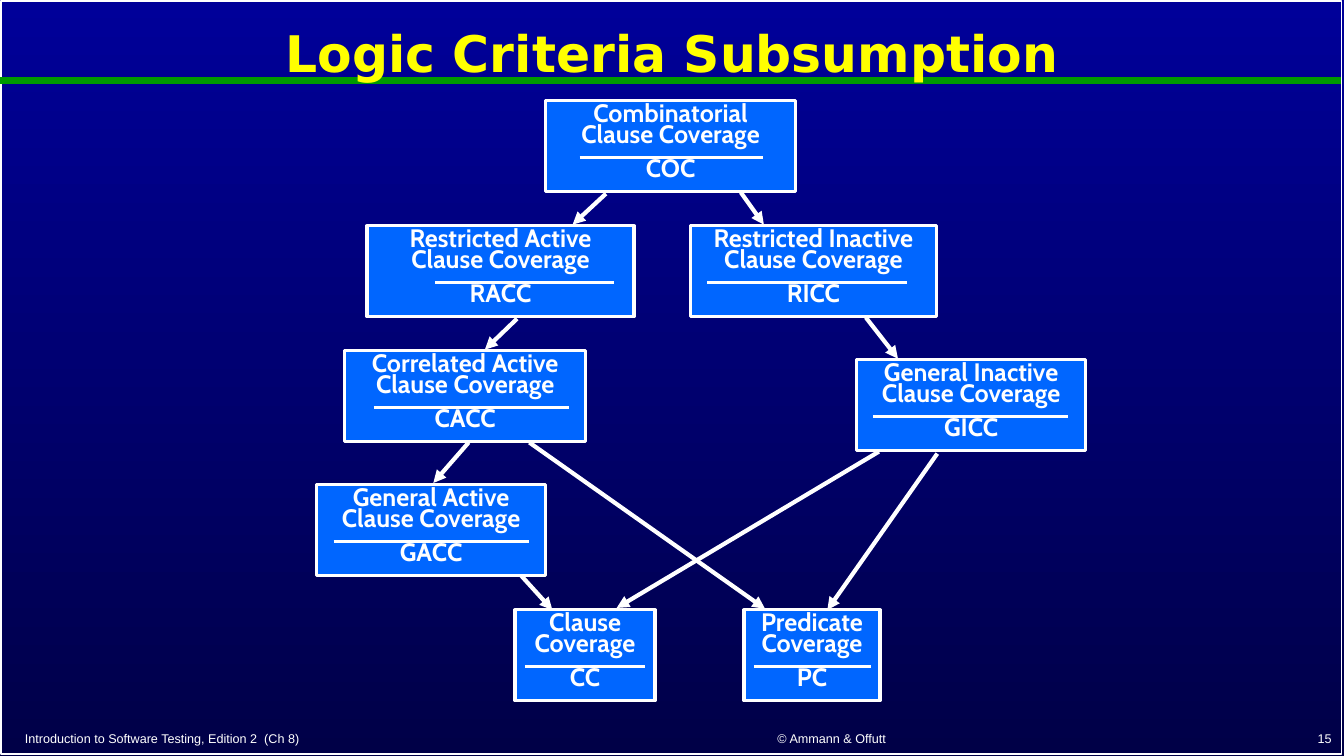
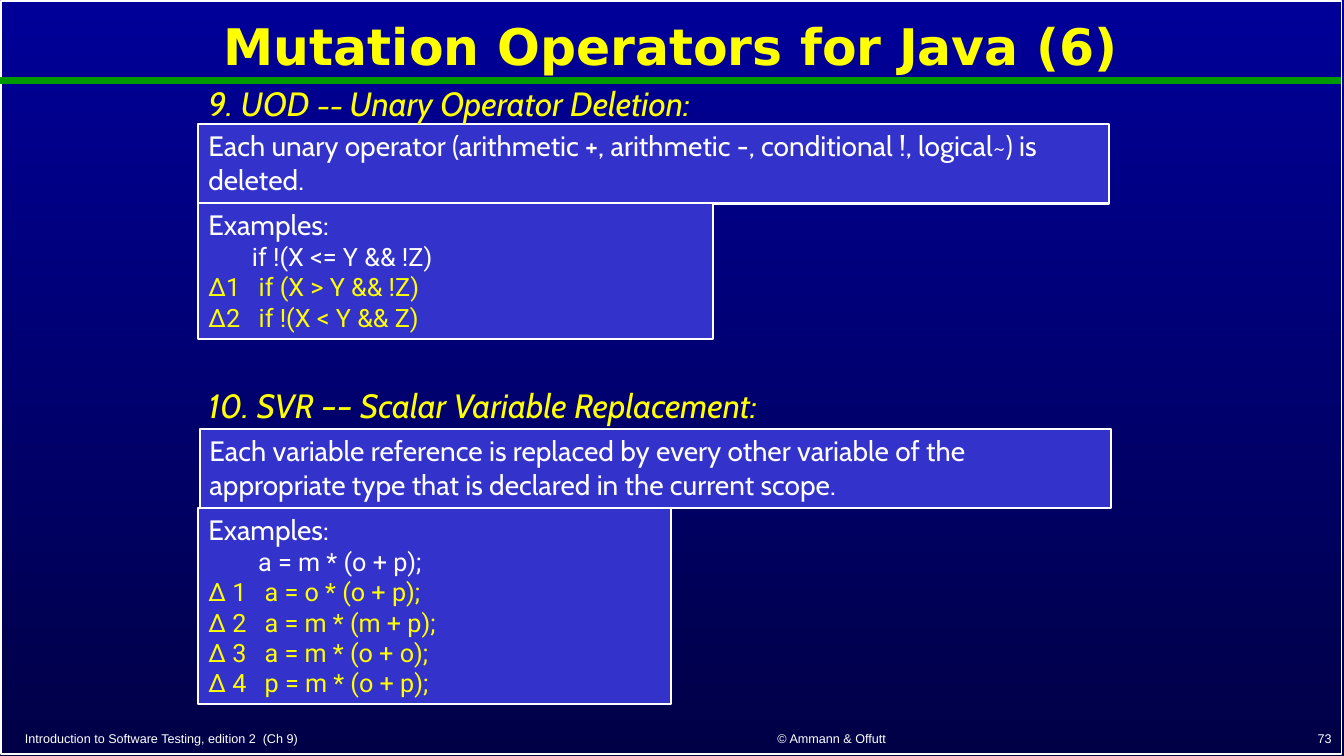
from dataclasses import dataclass

from pptx import Presentation
from pptx.dml.color import RGBColor
from pptx.enum.shapes import MSO_CONNECTOR as Connector, MSO_SHAPE as Shape
from pptx.enum.text import MSO_ANCHOR as Anchor, MSO_AUTO_SIZE as AutoSize, PP_ALIGN as Align
from pptx.oxml.ns import qn
from pptx.oxml.xmlchemy import OxmlElement
from pptx.util import Cm, Pt

WHITE, YELLOW, DASH_YELLOW, GREEN = "FFFFFF", "FFFF00", "FAFD00", "009900"
SKY, NIGHT = "000099", "000047"
NODE_BLUE, PANEL_BLUE = "0066FF", "3333CC"
TITLE_FONT, FOOTER_FONT, TEXT_FONT, CODE_FONT = "DejaVu Sans", "Arial", "Cabin", "Roboto"
NODE_HEIGHT, RULE_DROP = 2.29, 1.42
DELTA = "∆"


@dataclass(frozen=True)
class Area:
    left: float
    top: float
    width: float
    height: float

    def lengths(self) -> tuple:
        return Cm(self.left), Cm(self.top), Cm(self.width), Cm(self.height)


@dataclass(frozen=True)
class Criterion:
    left: float
    top: float
    width: float
    rule_start: float
    rule_end: float
    name: str
    short: str


@dataclass(frozen=True)
class Arrow:
    start_x: float
    start_y: float
    end_x: float
    end_y: float


@dataclass(frozen=True)
class Span:
    text: str
    size: float = 24
    color: str = YELLOW


@dataclass(frozen=True)
class Operator:
    heading_area: Area
    heading: tuple[Span, ...]
    rule_area: Area
    rule: str
    example_area: Area
    tab: float
    code: tuple[str, ...]


FOOTERS = (
    (Area(0.38, 18.29, 14.45, 0.64), Align.LEFT),
    (Area(15.6, 18.26, 10.72, 0.66), Align.CENTER),
    (Area(26.75, 18.26, 7.06, 0.66), Align.RIGHT),
)

CRITERIA = (
    Criterion(12.98, 15.37, 3.53, 13.23, 16.26, "Clause Coverage", "CC"),
    Criterion(18.75, 15.37, 3.43, 19, 21.95, "Predicate Coverage", "PC"),
    Criterion(13.74, 2.54, 6.32, 14.61, 19.23, "Combinatorial Clause Coverage", "COC"),
    Criterion(9.25, 5.69, 6.73, 10.97, 15.47, "Restricted Active Clause Coverage", "RACC"),
    Criterion(17.4, 5.69, 6.2, 17.83, 22.86, "Restricted Inactive Clause Coverage", "RICC"),
    Criterion(7.98, 12.22, 5.77, 8.41, 13.34, "General Active Clause Coverage", "GACC"),
    Criterion(8.69, 8.84, 6.07, 9.42, 14.33, "Correlated Active Clause Coverage", "CACC"),
    Criterion(21.59, 9.07, 5.77, 22, 26.92, "General Inactive Clause Coverage", "GICC"),
)

ARROWS = (
    Arrow(15.27, 4.88, 14.43, 5.66),
    Arrow(18.67, 4.85, 19.25, 5.66),
    Arrow(13.03, 8.03, 12.22, 8.81),
    Arrow(21.82, 8, 22.63, 9.04),
    Arrow(11.81, 11.15, 10.92, 12.17),
    Arrow(13.34, 11.15, 19.28, 15.34),
    Arrow(13.13, 14.5, 13.92, 15.37),
    Arrow(22.15, 11.38, 15.54, 15.32),
    Arrow(23.62, 11.43, 20.85, 15.37),
)

OPERATORS = (
    Operator(
        Area(5, 1.96, 19.48, 1.27),
        (Span("9. UOD "), Span("–– ", 20, DASH_YELLOW), Span("Unary Operator Deletion:")),
        Area(5, 3.12, 22.96, 2.01),
        "Each unary operator (arithmetic +, arithmetic -, conditional !, logical~) is deleted.",
        Area(5, 5.11, 12.98, 3.43),
        1.27,
        ("       if !(X <= Y && !Z)", "∆1\tif (X > Y && !Z)", "∆2\tif !(X < Y && Z)"),
    ),
    Operator(
        Area(5, 9.58, 24.03, 1.5),
        (Span("10. SVR "), Span("––", color=DASH_YELLOW), Span(" Scalar Variable Replacement:")),
        Area(5.03, 10.8, 22.96, 2.01),
        "Each variable reference is replaced by every other variable of the appropriate type "
        "that is declared in the current scope.",
        Area(5, 12.8, 11.91, 4.95),
        1.42,
        (
            "        a = m * (o + p);",
            "∆ 1\ta = o * (o + p);",
            "∆ 2\ta = m * (m + p);",
            "∆ 3\ta = m * (o + o);",
            "∆ 4\tp = m * (o + p);",
        ),
    ),
)


def rgb(color: str) -> RGBColor:
    return RGBColor.from_string(color)


def style(span, font: str, size: float, color: str, bold=False, italic=False) -> None:
    span.font.name, span.font.size = font, Pt(size)
    span.font.color.rgb = rgb(color)
    span.font.bold, span.font.italic = bold, italic


def write(para, text: str, font: str, size: float, color: str, align=Align.LEFT, bold=False) -> None:
    para.text = text
    para.alignment = align
    for span in para.runs:
        style(span, font, size, color, bold)


def draw_box(page, area: Area, fill: str | None, line_width: float):
    box = page.shapes.add_shape(Shape.RECTANGLE, *area.lengths())
    box.shadow.inherit = False
    if fill:
        box.fill.solid()
        box.fill.fore_color.rgb = rgb(fill)
    else:
        box.fill.background()
    box.line.color.rgb = rgb(WHITE)
    box.line.width = Pt(line_width)
    box.text_frame.word_wrap = True
    box.text_frame.vertical_anchor = Anchor.TOP
    return box


def draw_line(page, track: Arrow, color: str, width: float, head=False):
    line = page.shapes.add_connector(
        Connector.STRAIGHT, Cm(track.start_x), Cm(track.start_y), Cm(track.end_x), Cm(track.end_y)
    )
    line.line.color.rgb = rgb(color)
    line.line.width = Pt(width)
    properties = line._element.spPr
    if head:
        tip = OxmlElement("a:tailEnd")
        tip.set("type", "triangle")
        properties.find(qn("a:ln")).append(tip)
    properties.append(OxmlElement("a:effectLst"))
    return line


def draw_text(page, area: Area, anchor=Anchor.TOP):
    frame = page.shapes.add_textbox(*area.lengths()).text_frame
    frame.word_wrap = True
    frame.vertical_anchor = anchor
    return frame


def decorate_layout(deck, layout) -> None:
    fill = deck.slide_master.background.fill
    fill.gradient()
    fill.gradient_angle = 270
    for stop, color in zip(fill.gradient_stops, (SKY, NIGHT)):
        stop.color.rgb = rgb(color)


def share_band(page, layout) -> None:
    frame = draw_box(page, Area(0.03, 0.03, 33.78, 18.97), None, 1)
    band = draw_line(page, Arrow(0, 2.03, 33.8, 2.03), GREEN, 4.5)
    for number, shape in enumerate((frame, band)):
        shape._element.xpath(".//p:cNvPr")[0].set("id", str(100 + number))
        layout.shapes._spTree.insert(2 + number, shape._element)


def add_page(deck, layout, title: str, title_area: Area, footers: tuple[str, str, str]):
    page = deck.slides.add_slide(layout)
    heading = page.shapes.title
    heading.left, heading.top, heading.width, heading.height = title_area.lengths()
    frame = heading.text_frame
    frame.auto_size = AutoSize.NONE
    frame.word_wrap = True
    frame.vertical_anchor = Anchor.MIDDLE
    write(frame.paragraphs[0], title, TITLE_FONT, 36, YELLOW, Align.CENTER, bold=True)
    frame.paragraphs[0].line_spacing = 0.9
    for (area, align), text in zip(FOOTERS, footers):
        para = draw_text(page, area, Anchor.BOTTOM).paragraphs[0]
        write(para, text, FOOTER_FONT, 9, WHITE, align)
    return page


def draw_criterion(page, item: Criterion) -> None:
    frame = draw_box(page, Area(item.left, item.top, item.width, NODE_HEIGHT), NODE_BLUE, 2.25).text_frame
    frame.margin_left = frame.margin_right = Cm(0.3)
    name, short = frame.paragraphs[0], frame.add_paragraph()
    for para, text in ((name, item.name), (short, item.short)):
        write(para, text, TEXT_FONT, 18, WHITE, Align.CENTER, bold=True)
        para.line_spacing = 0.7
    short.space_before = Pt(9)
    rule_y = item.top + RULE_DROP
    draw_line(page, Arrow(item.rule_start, rule_y, item.rule_end, rule_y), WHITE, 2.25)


def add_tab(para, position: float) -> None:
    stops, stop = OxmlElement("a:tabLst"), OxmlElement("a:tab")
    stop.set("pos", str(Cm(position)))
    stop.set("algn", "l")
    stops.append(stop)
    para._p.get_or_add_pPr().append(stops)


def draw_operator(page, item: Operator) -> None:
    rule = draw_box(page, item.rule_area, PANEL_BLUE, 1.5).text_frame
    write(rule.paragraphs[0], item.rule, TEXT_FONT, 20, WHITE)
    heading = draw_text(page, item.heading_area).paragraphs[0]
    for part in item.heading:
        span = heading.add_run()
        span.text = part.text
        style(span, TEXT_FONT, part.size, part.color, italic=True)
    example = draw_box(page, item.example_area, PANEL_BLUE, 1.5).text_frame
    write(example.paragraphs[0], "Examples:", TEXT_FONT, 20, WHITE)
    for code in item.code:
        para = example.add_paragraph()
        mutant = code.startswith(DELTA)
        if mutant:
            add_tab(para, item.tab)
        write(para, code, CODE_FONT, 18, YELLOW if mutant else WHITE)


def main() -> None:
    deck = Presentation()
    deck.slide_width, deck.slide_height = Cm(33.87), Cm(19.05)
    layout = deck.slide_layouts.get_by_name("Title Only")
    decorate_layout(deck, layout)

    page = add_page(
        deck, layout, "Logic Criteria Subsumption", Area(4.24, 0.28, 25.4, 2.26),
        ("Introduction to Software Testing, Edition 2  (Ch 8)", "© Ammann & Offutt", "15"),
    )
    share_band(page, layout)
    for arrow in ARROWS:
        draw_line(page, arrow, WHITE, 3, head=True)
    for criterion in CRITERIA:
        draw_criterion(page, criterion)

    page = add_page(
        deck, layout, "Mutation Operators for Java (6)", Area(0.33, 0.13, 33.15, 2.24),
        ("Introduction to Software Testing, edition 2  (Ch 9)", "© Ammann & Offutt", "73"),
    )
    for operator in OPERATORS:
        draw_operator(page, operator)

    deck.save("out.pptx")


if __name__ == "__main__":
    main()
